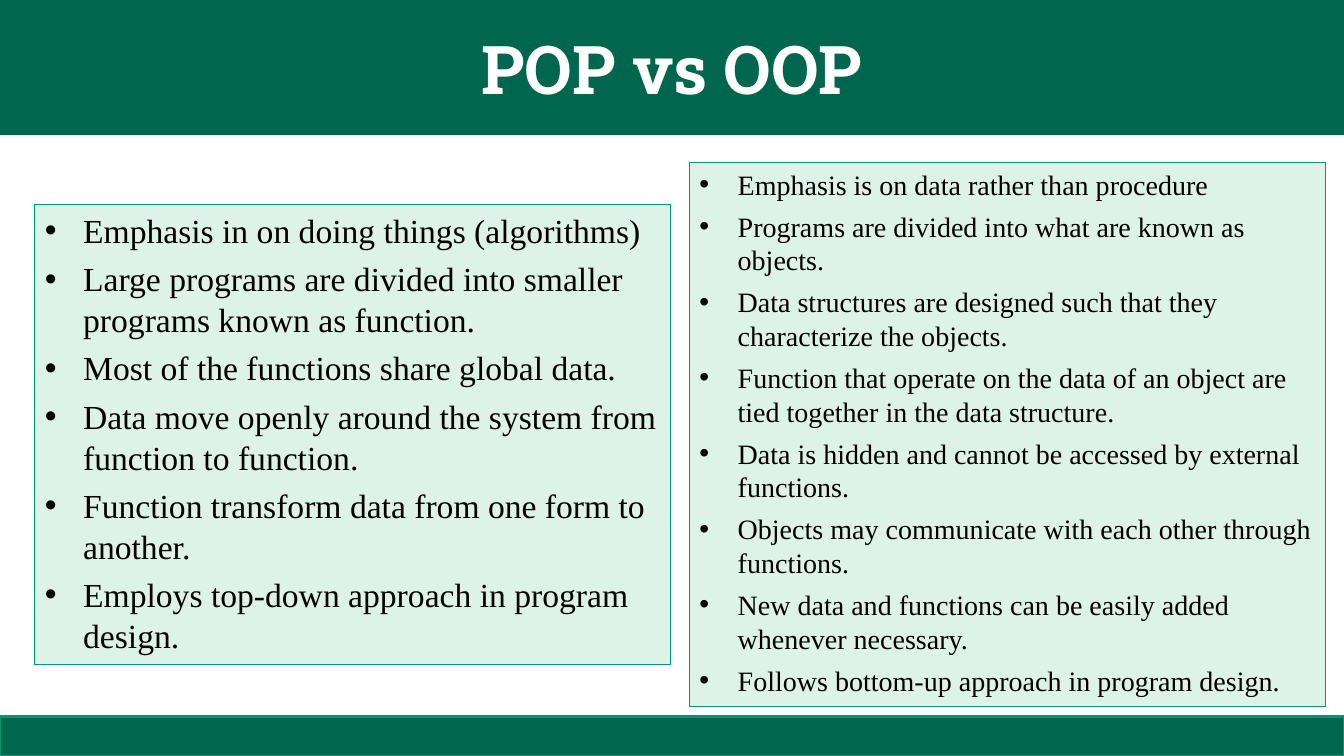
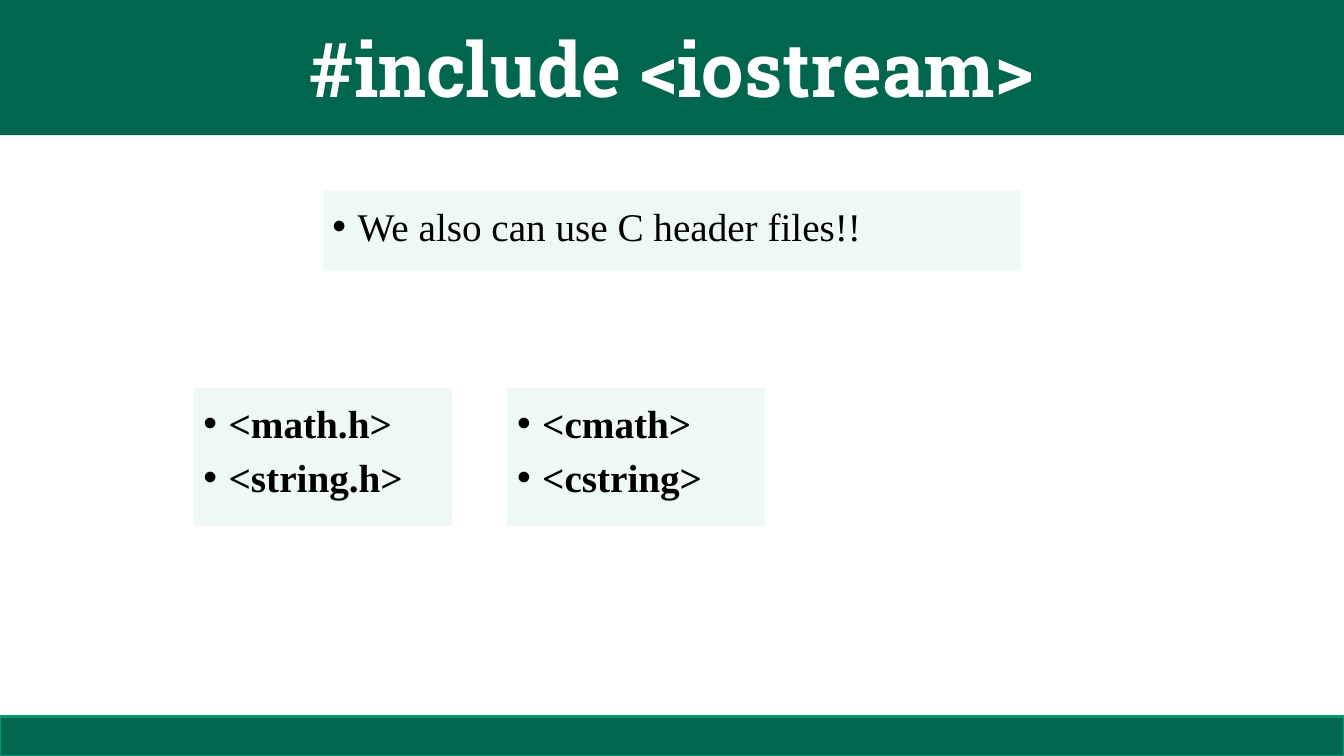
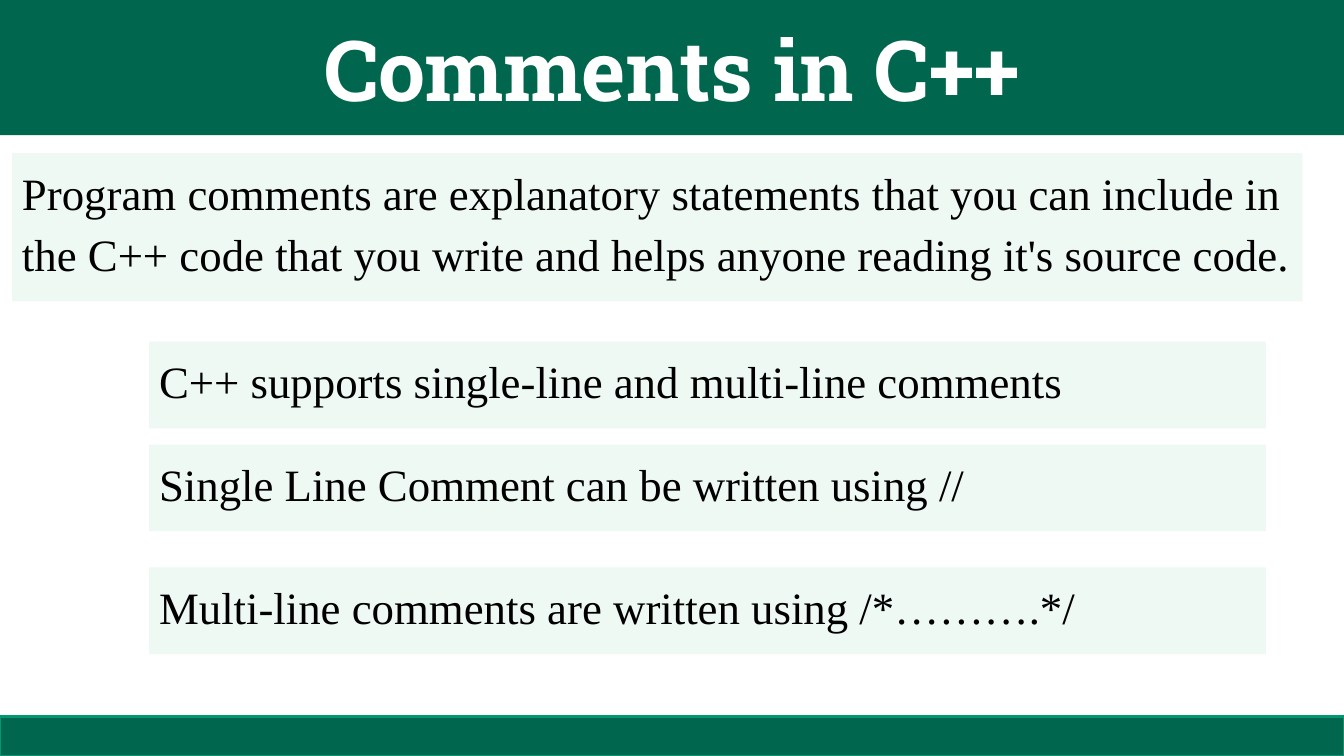
from dataclasses import dataclass

from lxml import etree
from pptx import Presentation
from pptx.dml.color import RGBColor
from pptx.enum.shapes import MSO_SHAPE
from pptx.enum.text import MSO_ANCHOR, PP_ALIGN
from pptx.oxml.ns import qn
from pptx.util import Inches, Pt

RECTANGLE = MSO_SHAPE.RECTANGLE
TOP, MIDDLE = MSO_ANCHOR.TOP, MSO_ANCHOR.MIDDLE
LEFT, CENTER = PP_ALIGN.LEFT, PP_ALIGN.CENTER
GRID = 100


@dataclass(frozen=True)
class Theme:
    """Colours, fonts and type sizes of the presentation."""

    band: str = "00664D"
    band_edge: str = "009771"
    card: str = "DDF3EA"
    card_edge: str = "009973"
    panel: str = "EEF9F4"
    title_color: str = "FFFFFF"
    text_color: str = "000000"
    title_font: str = "Roboto Slab"
    text_font: str = "Times New Roman"
    title_sizes: tuple = (48, 54, 60)
    small: int = 20
    medium: int = 24
    large: int = 28
    huge: int = 32
    line_spacing: float = 1.14


@dataclass(frozen=True)
class Box:
    """An area in inches, divided into 100 columns and 100 rows."""

    left: float
    top: float
    width: float
    height: float

    def area(self, column, row, columns, rows):
        """Return the area that starts at a column and row and spans the given counts."""
        return Box(
            self.left + self.width * column / GRID,
            self.top + self.height * row / GRID,
            self.width * columns / GRID,
            self.height * rows / GRID,
        )

    def lengths(self):
        """Return left, top, width and height as slide lengths."""
        return [Inches(value) for value in (self.left, self.top, self.width, self.height)]


THEME = Theme()
PAGE = Box(0, 0, 13.33, 7.5)
TITLE_ROWS, FOOTER_ROWS = 17.87, 5.2
TITLE_BAND = PAGE.area(0, 0, GRID, TITLE_ROWS)
BODY = PAGE.area(0, TITLE_ROWS, GRID, GRID - TITLE_ROWS - FOOTER_ROWS)
FOOTER_BAND = PAGE.area(0, GRID - FOOTER_ROWS, GRID, FOOTER_ROWS)

PROCEDURAL = [
    "Emphasis in on doing things (algorithms)",
    "Large programs are divided into smaller programs known as function.",
    "Most of the functions share global data.",
    "Data move openly around the system from function to function.",
    "Function transform data from one form to another.",
    "Employs top-down approach in program design.",
]
OBJECT_ORIENTED = [
    "Emphasis is on data rather than procedure",
    "Programs are divided into what are known as objects.",
    "Data structures are designed such that they characterize the objects.",
    "Function that operate on the data of an object are tied together in the data structure.",
    "Data is hidden and cannot be accessed by external functions.",
    "Objects may communicate with each other through functions.",
    "New data and functions can be easily added whenever necessary.",
    "Follows bottom-up approach in program design.",
]
HEADER_PAIRS = [["<math.h>", "<string.h>"], ["<cmath>", "<cstring>"]]
COMMENT_INTRO = (
    "Program comments are explanatory statements that you can include in "
    "the C++ code that you write and helps anyone reading it's source code."
)
COMMENT_RULES = [
    (35.53, "C++ supports single-line and multi-line comments"),
    (53.21, "Single Line Comment can be written using //"),
    (74.35, "Multi-line comments are written using /*……….*/"),
]


def add_panel(slide, box, fill, edge=None, edge_width=0.75):
    """Draw a filled rectangle, with an outline if an edge colour is given."""
    shape = slide.shapes.add_shape(RECTANGLE, *box.lengths())
    shape.shadow.inherit = False
    shape.fill.solid()
    shape.fill.fore_color.rgb = RGBColor.from_string(fill)
    if edge:
        shape.line.color.rgb = RGBColor.from_string(edge)
        shape.line.width = Pt(edge_width)
    else:
        shape.line.fill.background()
    return shape


def add_bullet(paragraph, indent):
    """Give a paragraph a round bullet with a hanging indent in inches."""
    properties = paragraph._p.get_or_add_pPr()
    properties.set("marL", str(Inches(indent)))
    properties.set("indent", str(-Inches(indent)))
    etree.SubElement(properties, qn("a:buFont")).set("typeface", "Arial")
    etree.SubElement(properties, qn("a:buChar")).set("char", "•")


def write(shape, lines, size, font=THEME.text_font, color=THEME.text_color, bold=False,
          align=LEFT, anchor=TOP, spacing=None, after=None, indent=None):
    """Fill a shape with one paragraph for each line."""
    frame = shape.text_frame
    frame.word_wrap = True
    frame.vertical_anchor = anchor
    for number, line in enumerate(lines):
        paragraph = frame.add_paragraph() if number else frame.paragraphs[0]
        paragraph.text = line
        paragraph.alignment = align
        paragraph.line_spacing = spacing
        paragraph.space_after = after
        paragraph.font.size = Pt(size)
        paragraph.font.name = font
        paragraph.font.bold = bold
        paragraph.font.color.rgb = RGBColor.from_string(color)
        if indent:
            add_bullet(paragraph, indent)


def add_slide(presentation, title, title_size):
    """Add a blank slide with the title band and the footer band."""
    slide = presentation.slides.add_slide(presentation.slide_layouts[6])
    heading = add_panel(slide, TITLE_BAND, THEME.band)
    write(heading, [title], title_size, THEME.title_font, THEME.title_color,
          bold=True, align=CENTER, anchor=MIDDLE)
    add_panel(slide, FOOTER_BAND, THEME.band, THEME.band_edge, 2)
    return slide


def add_card(slide, box, points, size):
    """Draw an outlined card of bulleted points."""
    card = add_panel(slide, box, THEME.card, THEME.card_edge)
    write(card, points, size, after=Pt(6), indent=0.38)


def add_text_panel(slide, box, lines, size, bold=False, indent=None):
    """Draw a pale panel of widely spaced text."""
    panel = add_panel(slide, box, THEME.panel)
    write(panel, lines, size, bold=bold, spacing=THEME.line_spacing, indent=indent)


def fill_comparison(slide, body):
    """Set the two programming styles side by side."""
    add_card(slide, body.area(2.6, 11.96, 47.3, 79.03), PROCEDURAL, THEME.medium)
    add_card(slide, body.area(51.3, 4.68, 47.3, 93.59), OBJECT_ORIENTED, THEME.small)


def fill_headers(slide, body):
    """Place the header note above the two lists of header files."""
    add_text_panel(slide, body.area(24, 9.53, 52, 13.86),
                   ["We also can use C header files!!"], THEME.large, indent=0.25)
    for number, names in enumerate(HEADER_PAIRS):
        box = body.area(14.4 + 23.33 * number, 43.5, 19.2, 23.74)
        add_text_panel(slide, box, names, THEME.large, bold=True, indent=0.25)


def fill_comments(slide, body):
    """Place the definition of comments above the rules for writing them."""
    add_text_panel(slide, body.area(0.9, 3.12, 96, 25.48), [COMMENT_INTRO], THEME.huge)
    for row, rule in COMMENT_RULES:
        add_text_panel(slide, body.area(11.1, row, 83.1, 14.9), [rule], THEME.huge)


def main():
    """Build and save the presentation."""
    presentation = Presentation()
    presentation.slide_width = Inches(PAGE.width)
    presentation.slide_height = Inches(PAGE.height)
    pages = [
        ("POP vs OOP", fill_comparison),
        ("#include <iostream>", fill_headers),
        ("Comments in C++", fill_comments),
    ]
    for (title, fill_body), size in zip(pages, THEME.title_sizes):
        fill_body(add_slide(presentation, title, size), BODY)
    presentation.save("out.pptx")


if __name__ == "__main__":
    main()
